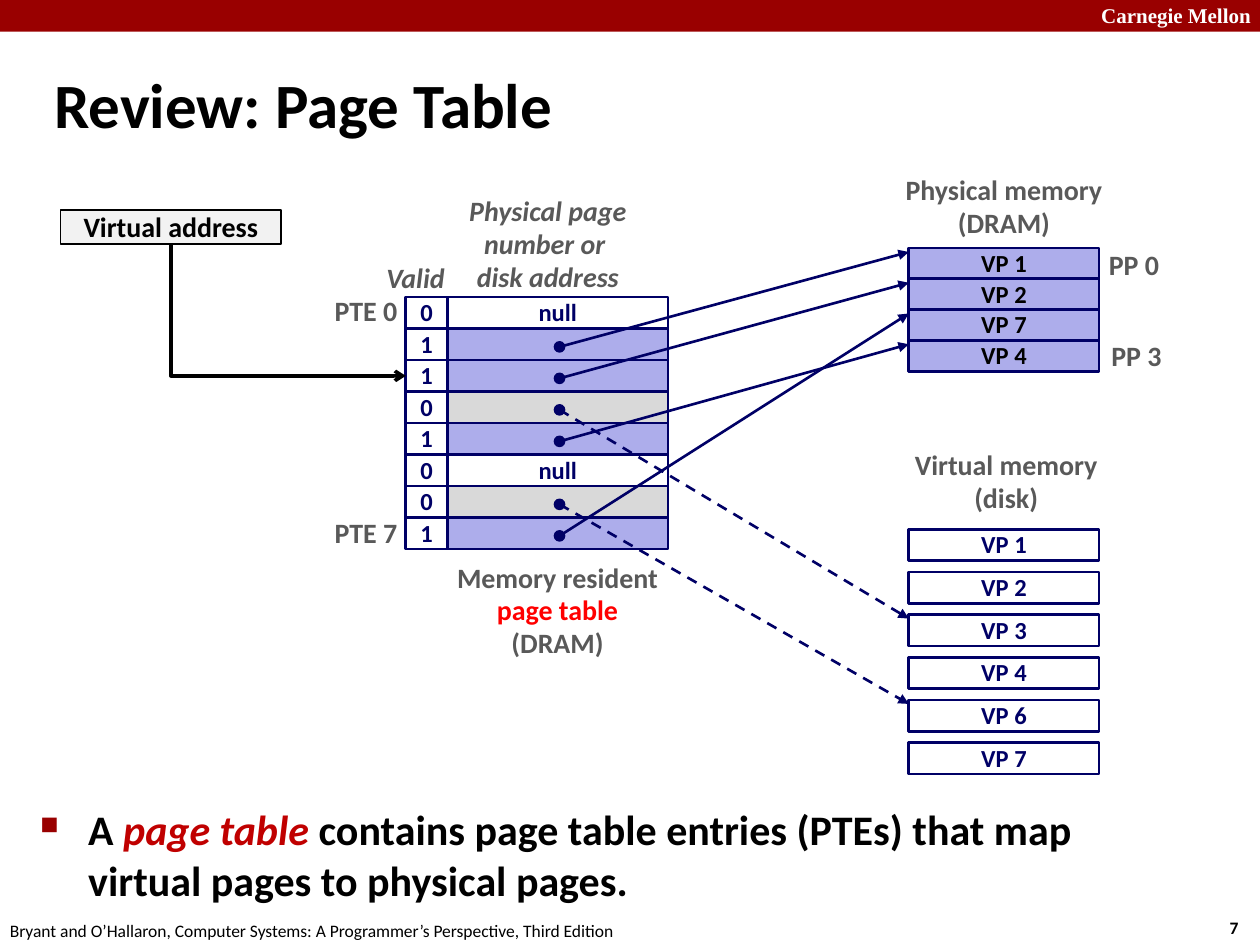
import pptx
import pptx.util
import pptx.dml.color
import pptx.enum.dml
import pptx.enum.shapes
import pptx.enum.text
import pptx.oxml
import pptx.oxml.ns
from lxml import etree

Cm = pptx.util.Cm
Pt = pptx.util.Pt
RGBColor = pptx.dml.color.RGBColor
ALIGN = pptx.enum.text.PP_ALIGN
ANCHOR = pptx.enum.text.MSO_ANCHOR
SHAPE = pptx.enum.shapes.MSO_SHAPE
CONNECTOR = pptx.enum.shapes.MSO_CONNECTOR

BLACK = RGBColor(0x00, 0x00, 0x00)
WHITE = RGBColor(0xFF, 0xFF, 0xFF)
NAVY = RGBColor(0x00, 0x00, 0x66)
LAVENDER = RGBColor(0xAD, 0xAD, 0xEB)
SILVER = RGBColor(0xD9, 0xD9, 0xD9)
PALE = RGBColor(0xF2, 0xF2, 0xF2)
GRAY = RGBColor(0x59, 0x59, 0x59)
MAROON = RGBColor(0x99, 0x00, 0x00)
RED = RGBColor(0xFF, 0x00, 0x00)
CRIMSON = RGBColor(0xC0, 0x00, 0x00)

TITLE = "Review: Page Table"
ENTRIES = [
    ("0", "null", None),
    ("1", "", ("memory", "VP 1")),
    ("1", "", ("memory", "VP 2")),
    ("0", "", ("disk", "VP 3")),
    ("1", "", ("memory", "VP 4")),
    ("0", "null", None),
    ("0", "", ("disk", "VP 6")),
    ("1", "", ("memory", "VP 7")),
]
ADDRESSED_ENTRY = 2
MEMORY_PAGES = ["VP 1", "VP 2", "VP 7", "VP 4"]
DISK_PAGES = ["VP 1", "VP 2", "VP 3", "VP 4", "VP 6", "VP 7"]
LABELS = [
    (["Memory resident", "page table", "(DRAM)"], (8.89, 11.2, 4.7, 2.26), ALIGN.CENTER, False),
    (["Physical memory", "(DRAM)"], (17.98, 3.38, 4.52, 1.6), ALIGN.CENTER, False),
    (["Virtual memory", "(disk)"], (18.14, 8.94, 4.29, 1.6), ALIGN.CENTER, False),
    (["Valid"], (7.54, 5.16, 1.9, 0.94), ALIGN.LEFT, True),
    (["Physical page", "number or ", "disk address"], (9.19, 3.81, 3.71, 2.26), ALIGN.CENTER, True),
    (["PTE 0"], (6.48, 5.82, 1.78, 0.94), ALIGN.RIGHT, False),
    (["PTE 7"], (6.48, 10.31, 1.78, 0.94), ALIGN.RIGHT, False),
    (["PP 0"], (22.1, 4.9, 1.52, 0.94), ALIGN.CENTER, False),
    (["PP 3"], (22.15, 6.73, 1.52, 0.94), ALIGN.CENTER, False),
]
SUMMARY = [
    ("A ", BLACK, False),
    ("page table ", CRIMSON, True),
    ("contains page table entries (PTEs) that map virtual pages to physical pages.", BLACK, False),
]

ROW = 5.08 / 8
TABLE_TOP = 5.99
VALID_LEFT, VALID_WIDTH = 8.18, 0.84
ENTRY_LEFT, ENTRY_WIDTH = 9.02, 4.45
DOT_X, DOT_DROP, DOT_SIZE = 11.28, 0.05, 0.2
PAGE_LEFT, PAGE_WIDTH = 18.32, 3.84
MEMORY_TOP, MEMORY_STEP = 5.0, 0.62
DISK_TOP, DISK_STEP = 10.67, 0.86
ARROW_DROP = 0.08


def format_span(span, size, color, bold=True, italic=False, name="Calibri"):
    span.font.name = name
    span.font.size = Pt(size)
    span.font.bold = bold
    span.font.italic = italic
    span.font.color.rgb = color


def write(frame, lines, size, color, align=ALIGN.LEFT, spacing=None, **style):
    frame.text = "\n".join(lines)
    for para in frame.paragraphs:
        para.alignment = align
        para.line_spacing = spacing
        for span in para.runs:
            format_span(span, size, color, **style)


def add_text(page, place, lines, size, color, wrap=False, **style):
    box = page.shapes.add_textbox(*map(Cm, place))
    box.text_frame.word_wrap = wrap
    box.text_frame.auto_size = pptx.enum.text.MSO_AUTO_SIZE.SHAPE_TO_FIT_TEXT
    write(box.text_frame, lines, size, color, **style)
    return box


def add_box(page, place, fill, text="", color=NAVY, size=14, line=NAVY, weight=1.5, kind=SHAPE.RECTANGLE):
    box = page.shapes.add_shape(kind, *map(Cm, place))
    box.shadow.inherit = False
    if fill is None:
        box.fill.background()
    else:
        box.fill.solid()
        box.fill.fore_color.rgb = fill
    if line is None:
        box.line.fill.background()
    else:
        box.line.color.rgb = line
        box.line.width = Pt(weight)
    if text:
        box.text_frame.word_wrap = False
        box.text_frame.vertical_anchor = ANCHOR.MIDDLE
        write(box.text_frame, [text], size, color, ALIGN.CENTER, 0.98)
    return box


def add_arrow(page, kind, ends, color, weight, head, dashed=False):
    arrow = page.shapes.add_connector(kind, *map(Cm, ends))
    arrow.line.color.rgb = color
    arrow.line.width = Pt(weight)
    if dashed:
        arrow.line.dash_style = pptx.enum.dml.MSO_LINE.DASH
    outline = arrow.line._get_or_add_ln()
    etree.SubElement(outline, pptx.oxml.ns.qn("a:tailEnd"), type=head)
    etree.SubElement(arrow._element.spPr, pptx.oxml.ns.qn("a:effectLst"))
    return arrow


def add_down_then_right(page, start, end):
    arrow = add_arrow(page, CONNECTOR.ELBOW, (0, 0, 1, 1), BLACK, 2, "arrow")
    arrow.begin_connect(start, 2)
    arrow.end_connect(end, 1)
    x, y = start.left + start.width // 2, start.top + start.height
    run, drop = end.left - x, end.top + end.height // 2 - y
    arrow.left, arrow.top = x + (run - drop) // 2, y + (drop - run) // 2
    arrow.width, arrow.height = drop, run
    properties = arrow._element.spPr
    frame = properties.find(pptx.oxml.ns.qn("a:xfrm"))
    for key in ("flipH", "flipV"):
        frame.attrib.pop(key, None)
    frame.set("rot", "16200000")
    frame.set("flipH", "1")
    properties.find(pptx.oxml.ns.qn("a:prstGeom")).set("prst", "bentConnector2")


def add_summary(page):
    box = page.shapes.add_textbox(Cm(0.56), Cm(16.08), Cm(23.09), Cm(2.44))
    box.text_frame.word_wrap = True
    para = box.text_frame.paragraphs[0]
    settings = para._p.get_or_add_pPr()
    settings.set("marL", str(Cm(0.97)))
    settings.set("indent", str(-Cm(0.97)))
    color = etree.SubElement(settings, pptx.oxml.ns.qn("a:buClr"))
    etree.SubElement(color, pptx.oxml.ns.qn("a:srgbClr"), val=str(MAROON))
    etree.SubElement(settings, pptx.oxml.ns.qn("a:buSzPct"), val="60000")
    etree.SubElement(settings, pptx.oxml.ns.qn("a:buChar"), char="■")
    for text, tint, italic in SUMMARY:
        span = para.add_run()
        span.text = text
        format_span(span, 24, tint, italic=italic)


def main():
    deck = pptx.Presentation()
    deck.slide_width, deck.slide_height = Cm(25.4), Cm(19.05)
    page = deck.slides.add_slide(deck.slide_layouts[5])

    add_box(page, (0, 0, 25.4, 0.64), MAROON, line=None)
    add_text(page, (21.95, -0.08, 3.63, 0.76), ["Carnegie Mellon"], 12, WHITE, True, name="Times New Roman")
    add_text(page, (24.54, 18.36, 0.94, 0.69), ["7"], 10, BLACK)
    add_text(page, (-0.05, 18.42, 12.9, 0.69),
             ["Bryant and O’Hallaron, Computer Systems: A Programmer’s Perspective, Third Edition"],
             10, BLACK, bold=False)

    title = page.shapes.title
    title.left, title.top, title.width, title.height = map(Cm, (0.84, 0.99, 24.16, 2.18))
    title.text_frame.vertical_anchor = ANCHOR.MIDDLE
    write(title.text_frame, [TITLE], 36, BLACK)

    targets = {}
    for index, name in enumerate(MEMORY_PAGES):
        top = MEMORY_TOP + index * MEMORY_STEP
        targets["memory", name] = top + ARROW_DROP
        add_box(page, (PAGE_LEFT, top, PAGE_WIDTH, ROW), LAVENDER, name, BLACK)
    for index, name in enumerate(DISK_PAGES):
        top = DISK_TOP + index * DISK_STEP
        targets["disk", name] = top + ARROW_DROP
        add_box(page, (PAGE_LEFT, top, PAGE_WIDTH, ROW), WHITE, name)

    fills = {"memory": LAVENDER, "disk": SILVER}
    valid_cells = []
    for index, (valid, text, target) in enumerate(ENTRIES):
        top = TABLE_TOP + index * ROW
        fill = fills[target[0]] if target else WHITE
        add_box(page, (ENTRY_LEFT, top, ENTRY_WIDTH, ROW), fill, text)
        valid_cells.append(add_box(page, (VALID_LEFT, top, VALID_WIDTH, ROW), None, valid))

    for index, (valid, text, target) in enumerate(ENTRIES):
        if target:
            y = TABLE_TOP + (index + 0.5) * ROW + DOT_DROP
            add_arrow(page, CONNECTOR.STRAIGHT, (DOT_X, y, PAGE_LEFT, targets[target]),
                      NAVY, 1.5, "triangle", target[0] == "disk")
            add_box(page, (DOT_X - DOT_SIZE / 2, y - DOT_SIZE / 2, DOT_SIZE, DOT_SIZE),
                    NAVY, weight=1, kind=SHAPE.OVAL)

    for lines, place, align, italic in LABELS:
        box = add_text(page, place, lines, 16, GRAY, align=align, spacing=0.98, italic=italic)
        for para in box.text_frame.paragraphs:
            if para.text == "page table":
                para.runs[0].font.color.rgb = RED

    address = add_box(page, (1.22, 4.24, 4.45, 0.68), PALE, "Virtual address", BLACK, 16, BLACK, 1)
    add_down_then_right(page, address, valid_cells[ADDRESSED_ENTRY])
    add_summary(page)
    deck.save("out.pptx")


if __name__ == "__main__":
    main()
